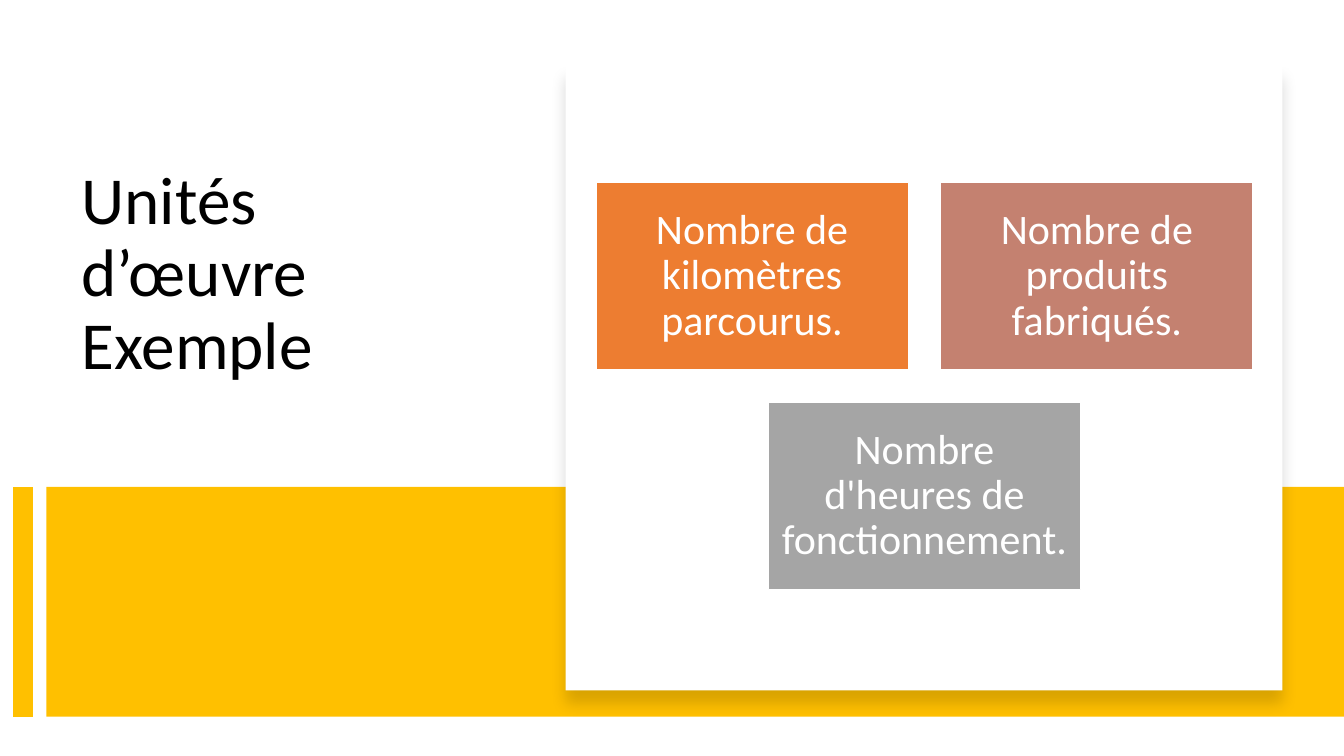
from lxml import etree
from pptx import Presentation
from pptx.dml.color import RGBColor
from pptx.enum.shapes import MSO_CONNECTOR, MSO_SHAPE
from pptx.enum.text import MSO_ANCHOR, PP_ALIGN
from pptx.oxml.ns import qn
from pptx.util import Inches, Pt

RECTANGLE = MSO_SHAPE.RECTANGLE
STRAIGHT = MSO_CONNECTOR.STRAIGHT
TOP, MIDDLE = MSO_ANCHOR.TOP, MSO_ANCHOR.MIDDLE
LEFT, CENTER = PP_ALIGN.LEFT, PP_ALIGN.CENTER

FONT = "Calibri"
WHITE, BLACK, YELLOW = "FFFFFF", "000000", "FFC000"
SLIDE_WIDTH, SLIDE_HEIGHT = 13.33, 7.5
TILE_WIDTH, TILE_HEIGHT, TILE_GAP = 3.1, 1.86, 0.32
TILES_PER_ROW = 2
TILES = [
    ("Nombre de kilomètres parcourus.", "ED7D31"),
    ("Nombre de produits fabriqués.", "C48170"),
    ("Nombre d'heures de fonctionnement.", "A5A5A5"),
]


def color(value):
    """Turn a hex string into a colour."""
    return RGBColor.from_string(value)


def add_rectangle(slide, left, top, width, height, fill, line=None):
    """Add a filled rectangle with an optional thin outline."""
    shape = slide.shapes.add_shape(
        RECTANGLE, Inches(left), Inches(top), Inches(width), Inches(height))
    shape.shadow.inherit = False
    shape.fill.solid()
    shape.fill.fore_color.rgb = color(fill)
    if line:
        shape.line.color.rgb = color(line)
        shape.line.width = Pt(1)
    else:
        shape.line.fill.background()
    return shape


def write_text(shape, text, size, ink, alignment, anchor):
    """Put one formatted paragraph in a shape."""
    text_frame = shape.text_frame
    text_frame.word_wrap = True
    text_frame.vertical_anchor = anchor
    text_frame.text = text
    paragraph = text_frame.paragraphs[0]
    paragraph.alignment = alignment
    paragraph.line_spacing = 0.9
    for run in paragraph.runs:
        run.font.name = FONT
        run.font.size = Pt(size)
        run.font.color.rgb = color(ink)


def add_title(slide, left, top, width, height):
    """Add the slide title."""
    box = slide.shapes.add_textbox(
        Inches(left), Inches(top), Inches(width), Inches(height))
    write_text(box, "Unités d’œuvre\vExemple", 48, BLACK, LEFT, TOP)


def add_band(slide, left, top, width, height):
    """Add the yellow band and the thick line to its left."""
    add_rectangle(slide, left, top, width, height, YELLOW)
    line_left = Inches(left - 0.23)
    line = slide.shapes.add_connector(
        STRAIGHT, line_left, Inches(top), line_left, Inches(top + height))
    line.line.color.rgb = color(YELLOW)
    line.line.width = Pt(14)
    etree.SubElement(line._element.spPr, qn("a:effectLst"))


def add_panel(slide, left, top, width, height):
    """Add the white panel with its soft shadow below."""
    panel = add_rectangle(slide, left, top, width, height, WHITE)
    effects = panel._element.spPr.find(qn("a:effectLst"))
    shadow = etree.SubElement(
        effects, qn("a:outerShdw"), blurRad=str(Pt(11)), dist=str(Pt(10)),
        dir=str(90 * 60000), algn="t", rotWithShape="0")
    shade = etree.SubElement(shadow, qn("a:srgbClr"), val=BLACK)
    etree.SubElement(shade, qn("a:alpha"), val="15000")


def add_tiles(slide, left, top, width):
    """Lay the tiles out in rows, each row centred in the width."""
    for index, (text, fill) in enumerate(TILES):
        row, column = divmod(index, TILES_PER_ROW)
        count = min(TILES_PER_ROW, len(TILES) - row * TILES_PER_ROW)
        row_width = count * (TILE_WIDTH + TILE_GAP) - TILE_GAP
        tile_left = left + (width - row_width) / 2 + column * (TILE_WIDTH + TILE_GAP)
        tile_top = top + row * (TILE_HEIGHT + TILE_GAP)
        tile = add_rectangle(
            slide, tile_left, tile_top, TILE_WIDTH, TILE_HEIGHT, fill, WHITE)
        text_frame = tile.text_frame
        text_frame.margin_left = text_frame.margin_right = Inches(0.12)
        text_frame.margin_top = text_frame.margin_bottom = Inches(0.12)
        write_text(tile, text, 30, WHITE, CENTER, MIDDLE)


def main():
    """Build the slide and save it."""
    presentation = Presentation()
    presentation.slide_width = Inches(SLIDE_WIDTH)
    presentation.slide_height = Inches(SLIDE_HEIGHT)
    slide = presentation.slides.add_slide(presentation.slide_layouts[6])
    add_title(slide, 0.71, 1.6, 4.15, 2.94)
    add_band(slide, 0.46, 4.83, 12.87, 2.28)
    add_panel(slide, 5.61, 0.64, 7.11, 6.21)
    add_tiles(slide, 5.91, 1.81, 6.52)
    presentation.save("out.pptx")


if __name__ == "__main__":
    main()
